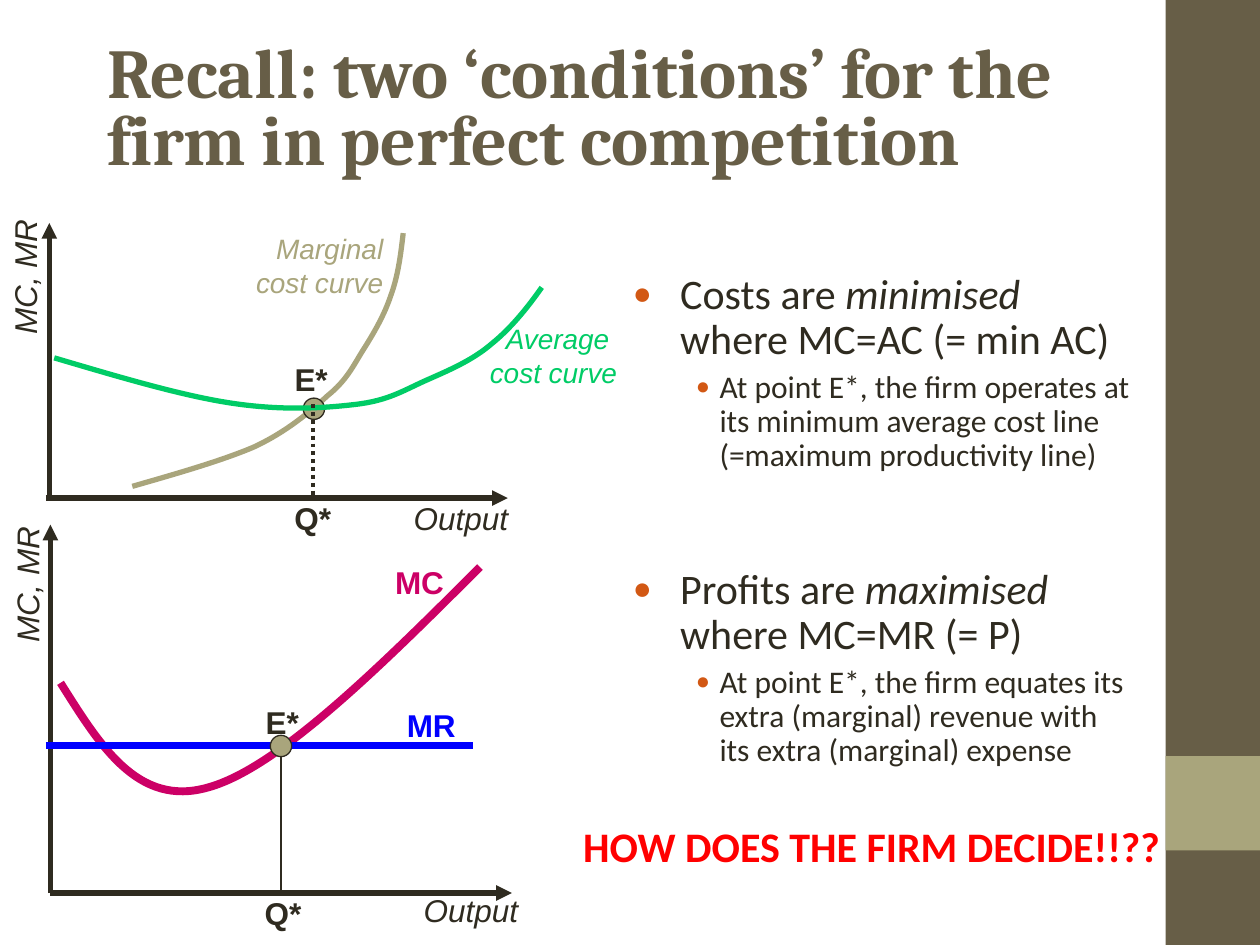
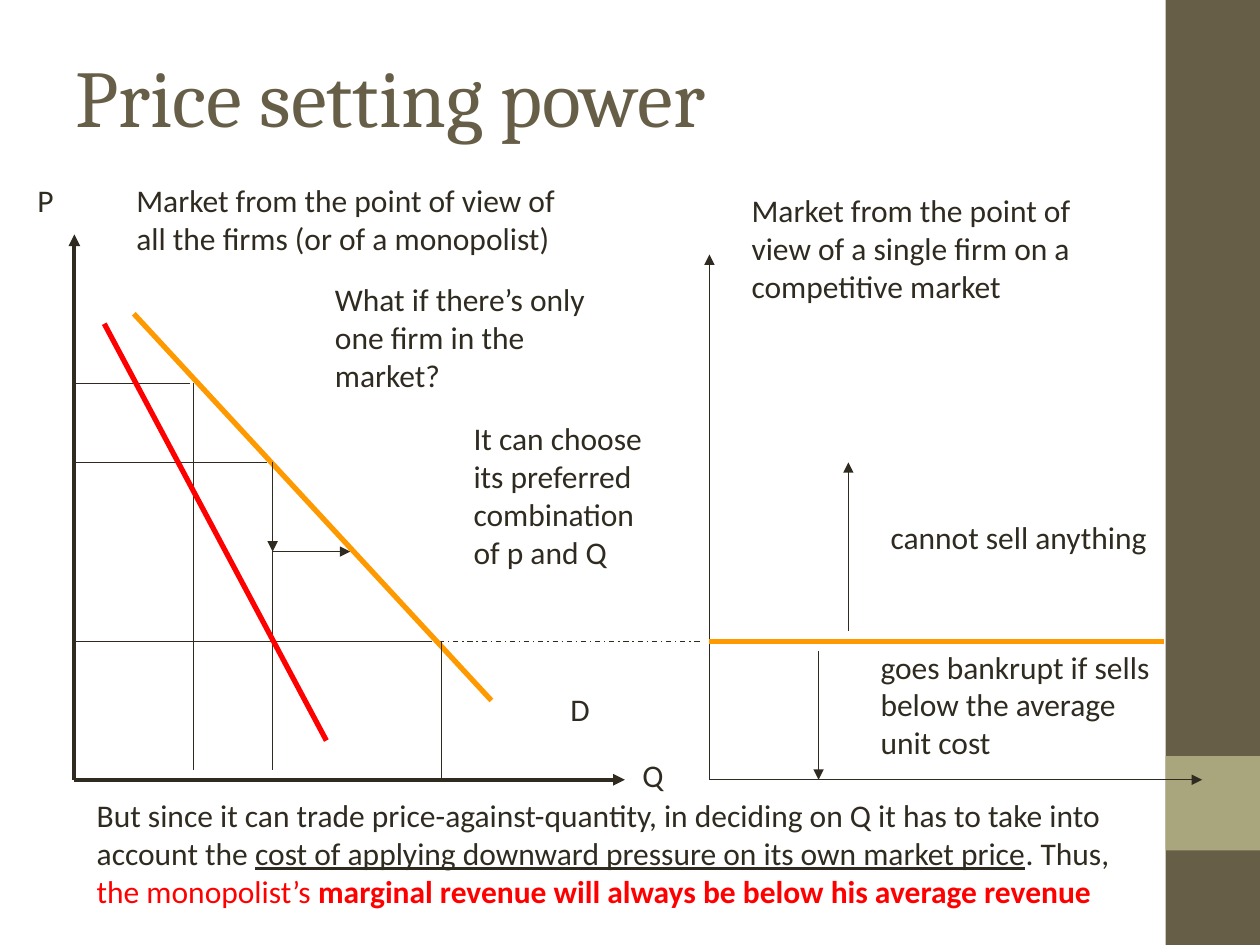
from lxml import etree
from pptx import Presentation
from pptx.dml.color import RGBColor
from pptx.enum.dml import MSO_LINE
from pptx.enum.shapes import MSO_CONNECTOR, MSO_SHAPE
from pptx.enum.text import MSO_ANCHOR, MSO_AUTO_SIZE, PP_ALIGN
from pptx.oxml.ns import qn
from pptx.util import Pt

STRAIGHT = MSO_CONNECTOR.STRAIGHT
RECTANGLE, OVAL = MSO_SHAPE.RECTANGLE, MSO_SHAPE.OVAL
DOTTED, DASH_DOT = MSO_LINE.ROUND_DOT, MSO_LINE.DASH_DOT
LEFT, RIGHT = PP_ALIGN.LEFT, PP_ALIGN.RIGHT
MIDDLE = MSO_ANCHOR.MIDDLE
FIT_SHAPE, NO_FIT = MSO_AUTO_SIZE.SHAPE_TO_FIT_TEXT, MSO_AUTO_SIZE.NONE

INK, BROWN, TAN = "2F2B20", "675E47", "A9A57C"
GREEN, MAGENTA, BLUE = "00CC66", "CC0066", "0000FF"
RED, ORANGE, RUST = "FF0000", "FF9900", "D25814"
MARKER = 12.2

colour_of = RGBColor.from_string


def add_text(page, bounds, text, font="Calibri", size=18, colour=INK, bold=None,
             italic=None, align=LEFT, wrap=True, rotation=0):
    box = page.shapes.add_textbox(*map(Pt, bounds))
    box.rotation = rotation
    frame = box.text_frame
    frame.word_wrap = wrap
    frame.auto_size = FIT_SHAPE
    frame.text = text
    for para in frame.paragraphs:
        para.alignment = align
        para.font.name = font
        para.font.size = Pt(size)
        para.font.bold = bold
        para.font.italic = italic
        para.font.color.rgb = colour_of(colour)
    return frame


def add_line(page, ends, colour=INK, width=0.75, arrow=False, dash=None):
    connector = page.shapes.add_connector(STRAIGHT, *map(Pt, ends))
    connector.line.width = Pt(width)
    connector.line.color.rgb = colour_of(colour)
    if dash:
        connector.line.dash_style = dash
    if arrow:
        etree.SubElement(connector.get_or_add_ln(), qn("a:tailEnd"), type="triangle")
    etree.SubElement(connector._element.spPr, qn("a:effectLst"))


deck = Presentation()
deck.slide_width, deck.slide_height = Pt(720), Pt(540)

titles = [
    ("Recall: two ‘conditions’ for the firm in perfect competition",
     (54, 20.2, 612, 87.1), 40, True, 0.8),
    ("Price setting power", (36, 9.4, 648, 90), 46, False, 1.0),
]
bands = [(BROWN, 0, 540), (TAN, 432, 54)]

pages = []
for words, bounds, size, bold, spacing in titles:
    page = deck.slides.add_slide(deck.slide_layouts[5])
    pages.append(page)
    for colour, top, height in bands:
        band = page.shapes.add_shape(RECTANGLE, Pt(666), Pt(top), Pt(54), Pt(height))
        band.shadow.inherit = False
        band.fill.solid()
        band.fill.fore_color.rgb = colour_of(colour)
        band.line.fill.background()
    title = page.shapes.title
    title.left, title.top, title.width, title.height = map(Pt, bounds)
    title.text_frame.text = words
    title.text_frame.auto_size = NO_FIT
    title.text_frame.vertical_anchor = MIDDLE
    para = title.text_frame.paragraphs[0]
    para.alignment = LEFT
    para.line_spacing = spacing
    para.font.name = "Cambria"
    para.font.size = Pt(size)
    para.font.bold = bold
    para.font.color.rgb = colour_of(BROWN)

conditions_page, power_page = pages

conditions = [
    (24, 27, -27, 0, ["Costs are ", "minimised ", "where MC=AC (= min AC)"]),
    (18, 49.5, -13.5, 4.2, ["At point E*, the firm operates at its minimum average "
                            "cost line (=maximum productivity line)"]),
    (24, 27, -27, 54.2, ["Profits are ", "maximised ", "where MC=MR (= P)"]),
    (18, 49.5, -13.5, 4.2, ["At point E*, the firm equates its extra (marginal) "
                            "revenue with its extra (marginal) expense"]),
]
body = conditions_page.shapes.add_textbox(Pt(354.6), Pt(152.6), Pt(300.2), Pt(310.3))
body.text_frame.word_wrap = True
for index, (size, margin, indent, space, parts) in enumerate(conditions):
    para = body.text_frame.add_paragraph() if index else body.text_frame.paragraphs[0]
    para.line_spacing = 0.9
    para.space_before = Pt(space)
    properties = para._p.get_or_add_pPr()
    properties.set("marL", str(Pt(margin)))
    properties.set("indent", str(Pt(indent)))
    bullet_colour = etree.SubElement(properties, qn("a:buClr"))
    etree.SubElement(bullet_colour, qn("a:srgbClr"), val=RUST)
    etree.SubElement(properties, qn("a:buSzPct"), val="75000")
    etree.SubElement(properties, qn("a:buFont"), typeface="Arial")
    etree.SubElement(properties, qn("a:buChar"), char="●")
    para.font.name = "Calibri"
    para.font.size = Pt(size)
    para.font.color.rgb = colour_of(INK)
    for position, part in enumerate(parts):
        span = para.add_run()
        span.text = part
        if position == 1:
            span.font.italic = True

for axis in [
    (26.2, 284.6, 290.2, 284.6), (28.2, 285.8, 28.2, 127.4),
    (28.8, 510.3, 292.5, 510.3), (28.8, 510.3, 28.8, 299.8),
]:
    add_line(conditions_page, axis, width=3, arrow=True)
add_line(conditions_page, (160.6, 426, 160.6, 510.3))

marginal_cost = [
    (75.6, 277.9), (100.8, 270.7), (126, 263.5), (144.7, 255.6),
    (163.4, 247), (177.1, 235.4), (187.2, 226.1),
    (198, 217.4), (201.6, 209.5), (207.4, 200.2),
    (213.8, 190.1), (219.6, 180), (223.2, 169.2),
    (227.5, 157.7), (229, 145.4), (230.4, 133.2),
]
average_cost = [
    (31, 204.5), (67.7, 215.3), (103.7, 226.1), (132.5, 230.4),
    (161.3, 234.7), (184.3, 233.3), (203, 231.1),
    (221.8, 229), (230.4, 223.2), (243.4, 217.4),
    (256.3, 211.7), (270, 205.9), (280.8, 196.6),
    (291.6, 187.9), (301, 176.5), (309.6, 164.2),
]
firm_cost = [
    (34.6, 390.2), (56.9, 425.5), (78.5, 461.5), (118.8, 450),
    (158.4, 439.2), (216.7, 381.6), (274.3, 324),
]
marginal_revenue = [(26.2, 426), (270, 426)]

strokes = [
    (TAN, 3, marginal_cost, (173.3, 227.5)),
    (GREEN, 3, average_cost, None),
    (MAGENTA, 4.5, firm_cost, None),
    (BLUE, 4.5, marginal_revenue, (154.5, 420.2)),
]
for colour, width, points, marker_corner in strokes:
    if len(points) == 2:
        add_line(conditions_page, points[0] + points[1], colour, width)
    else:
        vertices = [(Pt(x), Pt(y)) for x, y in points]
        builder = conditions_page.shapes.build_freeform(*vertices[0])
        builder.add_line_segments(vertices[1:], close=False)
        curve = builder.convert_to_shape()
        segments = list(curve._element.iter(qn("a:lnTo")))
        for first in range(0, len(segments), 3):
            bezier = etree.Element(qn("a:cubicBezTo"))
            segments[first].addprevious(bezier)
            for segment in segments[first:first + 3]:
                bezier.append(segment[0])
                segment.getparent().remove(segment)
        curve.shadow.inherit = False
        curve.fill.background()
        curve.line.width = Pt(width)
        curve.line.color.rgb = colour_of(colour)
    if marker_corner:
        marker = conditions_page.shapes.add_shape(
            OVAL, *map(Pt, marker_corner), Pt(MARKER), Pt(MARKER))
        marker.shadow.inherit = False
        marker.fill.solid()
        marker.fill.fore_color.rgb = colour_of(TAN)
        marker.line.width = Pt(0.75)
        marker.line.color.rgb = colour_of(INK)
add_line(conditions_page, (178.9, 231.1, 178.9, 285.8), width=2.25, dash=DOTTED)

for left, top, width, text, colour in [
    (161.2, 202.3, 35.3, "E*", INK), (161.2, 281.5, 36.5, "Q*", INK),
    (144.7, 398.2, 35.3, "E*", INK), (144.2, 507.6, 36.5, "Q*", INK),
    (218.7, 318.2, 44, "MC", MAGENTA), (225.4, 399.8, 44, "MR", BLUE),
]:
    add_text(conditions_page, (left, top, width, 28.8), text, "Arial",
             colour=colour, bold=True, wrap=False)
for left, top, width, text, rotation in [
    (229.3, 281.5, 70, "Output", 0), (235, 505.4, 70, "Output", 0),
    (-28, 142, 84, "MC, MR", 270), (-26.6, 317.7, 84, "MC, MR", 270),
]:
    add_text(conditions_page, (left, top, width, 28.8), text, "Arial",
             italic=True, wrap=False, rotation=rotation)
for left, top, text, colour in [
    (272.6, 180.2, "Average \ncost curve", GREEN),
    (139, 128.9, "Marginal\ncost curve", TAN),
]:
    add_text(conditions_page, (left, top, 87.1, 46.1), text, "Arial", 16, colour,
             italic=True, align=RIGHT, wrap=False)
question = add_text(conditions_page, (326.2, 468.7, 350.6, 51.8),
                    "HOW DOES THE FIRM DECIDE!!??", size=24, colour=RED, bold=True)
question.paragraphs[0].line_spacing = 0.9

base, price = 445.6, 366.4
for axis in [(42.5, base, 357.1, base), (42.5, base, 42.5, 133.9)]:
    add_line(power_page, axis, width=2.25, arrow=True)
for arrow in [
    (155.8, 270, 155.8, 315.2), (155.8, 315.2, 200.2, 315.2),
    (405.4, base, 405.4, 145.4), (405.4, base, 686.9, base),
    (484.8, 360.7, 484.8, 264.2), (467.8, 372.2, 467.8, base),
]:
    add_line(power_page, arrow, arrow=True)
add_line(power_page, (48.2, price, 401.8, price), dash=DASH_DOT)
for demand in [(76.5, 179.3, 280.8, 400.3), (405.4, price, 665.3, price)]:
    add_line(power_page, demand, ORANGE, 3)
for guide in [
    (42.5, 219, 108.7, 219), (110.5, 219, 110.5, 439.9),
    (152.6, 264.2, 42.5, 264.2), (155.8, 264.2, 155.8, 439.9),
    (42.5, price, 247, price), (252.2, price, 252.2, base),
]:
    add_line(power_page, guide)

for bounds, text in [
    ((318.8, 391, 25.2, 28.8), "D"),
    ((14.2, 100.1, 23, 28.8), "P"),
    ((360, 428.6, 25.9, 28.8), "Q"),
    ((70.8, 100.1, 265, 50.4),
     "Market from the point of view of all the firms (or of a monopolist)"),
    ((422.4, 105.8, 226.8, 72),
     "Market from the point of view of a single firm on a competitive market"),
    ((501.8, 292.3, 171.4, 28.8), "cannot sell anything"),
    ((496.1, 366.5, 172.8, 72), "goes bankrupt if sells below the average unit cost"),
    ((184.3, 156.7, 167, 72), "What if there’s only one firm in the market?"),
    ((263.5, 236, 111.6, 93.6), "It can choose its preferred combination of p and Q"),
]:
    add_text(power_page, bounds, text)

conclusion = add_text(power_page, (48.2, 451.4, 617, 72), "").paragraphs[0]
for text, colour, underline, bold in [
    ("But since it can trade price-against-quantity, in deciding on Q it has to "
     "take into account the ", INK, False, False),
    ("cost of applying downward pressure on its own market price", INK, True, False),
    (". Thus, ", INK, False, False),
    ("the monopolist’s ", RED, False, False),
    ("marginal revenue will always be below his average revenue", RED, False, True),
]:
    span = conclusion.add_run()
    span.text = text
    span.font.color.rgb = colour_of(colour)
    span.font.underline = underline
    span.font.bold = bold
add_line(power_page, (59.6, 185, 186.5, 423.2), RED, 3)

deck.save("out.pptx")
